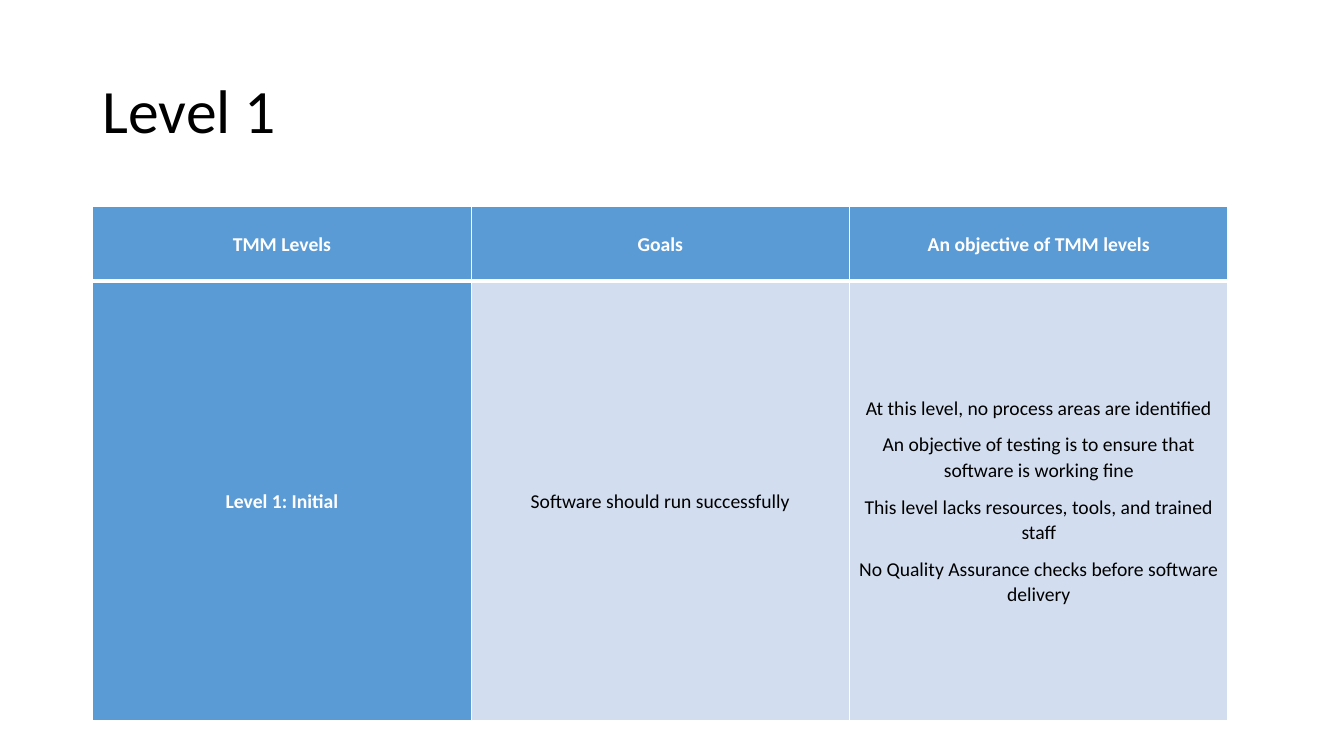
from lxml import etree
from pptx import Presentation
from pptx.dml.color import RGBColor
from pptx.enum import text
from pptx.oxml import ns
from pptx.util import Inches, Pt

COLORS = {"blue": "5B9BD5", "pale": "D2DEEF", "white": "FFFFFF", "black": "000000"}
HEADINGS = ["TMM Levels", "Goals", "An objective of TMM levels"]
LEVEL = "Level 1: Initial"
GOAL = "Software should run successfully"
OBJECTIVES = [
    "At this level, no process areas are identified",
    "An objective of testing is to ensure that software is working fine",
    "This level lacks resources, tools, and trained staff",
    "No Quality Assurance checks before software delivery",
]


def write(frame, lines, size=14, color="black", bold=False,
          align=text.PP_ALIGN.CENTER, spacing=1.07, after=0):
    frame.word_wrap = True
    for index, line in enumerate(lines):
        paragraph = frame.add_paragraph() if index else frame.paragraphs[0]
        paragraph.alignment = align
        paragraph.line_spacing = spacing
        paragraph.space_after = Pt(after)
        run = paragraph.add_run()
        run.text = line
        run.font.name = "Calibri"
        run.font.size = Pt(size)
        run.font.bold = bold
        run.font.color.rgb = RGBColor.from_string(COLORS[color])


def add_borders(cell, **widths):
    """Draw white cell borders; widths are points for the sides L, R, T and B."""
    properties = cell._tc.get_or_add_tcPr()
    for position, side in enumerate("LRTB"):
        line = etree.Element(ns.qn(f"a:ln{side}"), w=str(Pt(widths.get(side, 1))))
        fill = etree.SubElement(line, ns.qn("a:solidFill"))
        etree.SubElement(fill, ns.qn("a:srgbClr"), val=COLORS["white"])
        properties.insert(position, line)


def fill_cell(cell, lines, fill, borders, **format):
    cell.fill.solid()
    cell.fill.fore_color.rgb = RGBColor.from_string(COLORS[fill])
    cell.vertical_anchor = text.MSO_ANCHOR.MIDDLE
    cell.margin_left = cell.margin_right = Inches(0.01)
    cell.margin_top = cell.margin_bottom = Inches(0.01)
    write(cell.text_frame, lines, **format)
    add_borders(cell, **borders)


def add_title(slide, title):
    frame = slide.shapes.add_textbox(
        Inches(0.92), Inches(0.4), Inches(11.5), Inches(1.45)).text_frame
    frame.vertical_anchor = text.MSO_ANCHOR.MIDDLE
    write(frame, [title], size=44, align=text.PP_ALIGN.LEFT, spacing=0.9)


def add_levels_table(slide):
    levels = slide.shapes.add_table(
        2, 3, Inches(0.92), Inches(2.05), Inches(11.26), Inches(5.1)).table
    for row, height in zip(levels.rows, (0.74, 4.36)):
        row.height = Inches(height)

    for column, heading in enumerate(HEADINGS):
        fill_cell(levels.cell(0, column), [heading], "blue", {"B": 3},
                  color="white", bold=True)

    below_header = {"T": 3}
    fill_cell(levels.cell(1, 0), [LEVEL], "blue", below_header,
              color="white", bold=True, after=8)
    for column, lines in enumerate(([GOAL], OBJECTIVES), start=1):
        fill_cell(levels.cell(1, column), lines, "pale", below_header, after=8)


def main():
    deck = Presentation()
    deck.slide_width, deck.slide_height = Inches(13.33), Inches(7.5)
    slide = deck.slides.add_slide(deck.slide_layouts[6])
    add_title(slide, "Level 1")
    add_levels_table(slide)
    deck.save("out.pptx")


if __name__ == "__main__":
    main()
